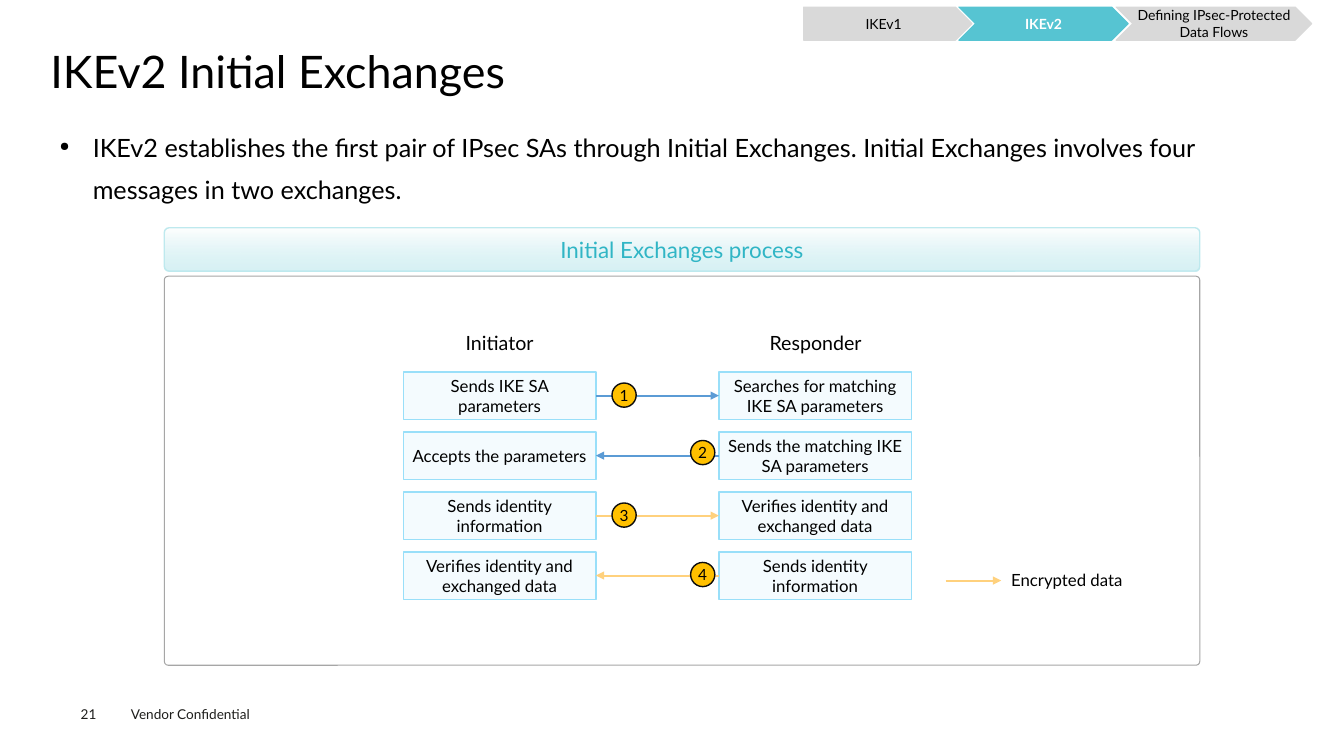
"""Build the slide that explains the IKEv2 initial exchanges."""
from lxml.etree import SubElement
from pptx import Presentation
from pptx.dml.color import RGBColor
from pptx.enum.shapes import MSO_CONNECTOR, MSO_SHAPE
from pptx.enum.text import MSO_ANCHOR, PP_ALIGN
from pptx.oxml.ns import qn
from pptx.util import Inches, Pt

FONT = "Lato"
BLACK = RGBColor(0x00, 0x00, 0x00)
WHITE = RGBColor(0xFF, 0xFF, 0xFF)
FOOTER_INK = RGBColor(0x1D, 0x1D, 0x1B)
TEAL = RGBColor(0x56, 0xC4, 0xD2)
TEAL_TEXT = RGBColor(0x30, 0xB5, 0xC5)
PALE_TEAL = RGBColor(0xBE, 0xE9, 0xEE)
TAB_GREY = RGBColor(0xD9, 0xD9, 0xD9)
FRAME_GREY = RGBColor(0xA6, 0xA6, 0xA6)
STEP_FILL = RGBColor(0xF4, 0xFB, 0xFE)
STEP_LINE = RGBColor(0x99, 0xDF, 0xF9)
BLUE = RGBColor(0x5B, 0x9B, 0xD5)
ORANGE = RGBColor(0xFF, 0xD1, 0x7D)
BADGE_FILL = RGBColor(0xFF, 0xC0, 0x00)
BADGE_LINE = RGBColor(0x0D, 0x0D, 0x0D)

presentation = Presentation()
presentation.slide_width = Inches(13.33)
presentation.slide_height = Inches(7.5)
slide = presentation.slides.add_slide(presentation.slide_layouts[6])


def write(shape, text, size, color=BLACK, insets=(0.1, 0.05), wrap=True,
          align=PP_ALIGN.CENTER, anchor=MSO_ANCHOR.TOP):
    frame = shape.text_frame
    frame.word_wrap = wrap
    frame.vertical_anchor = anchor
    frame.margin_left = frame.margin_right = Inches(insets[0])
    frame.margin_top = frame.margin_bottom = Inches(insets[1])
    paragraph = frame.paragraphs[0]
    paragraph.alignment = align
    run = paragraph.add_run()
    run.text = text
    run.font.name = FONT
    run.font.size = Pt(size)
    run.font.color.rgb = color
    return paragraph


def add_block(kind, box, fill, line, line_width):
    shape = slide.shapes.add_shape(kind, *map(Inches, box))
    shape.shadow.inherit = False
    if fill is None:
        shape.fill.background()
    else:
        shape.fill.solid()
        shape.fill.fore_color.rgb = fill
    shape.line.color.rgb = line
    shape.line.width = Pt(line_width)
    return shape


labels = [
    ((1.2, 6.95, 1.6, 0.27), "Vendor Confidential", 9.7, FOOTER_INK, (0.1, 0.05), True, PP_ALIGN.LEFT),
    ((0.8, 7, 0.55, 0.16), "21", 9.7, FOOTER_INK, (0, 0), True, PP_ALIGN.LEFT),
    ((4.5, 3.23, 0.91, 0.34), "Initiator", 14, BLACK, (0.1, 0.05), False, PP_ALIGN.CENTER),
    ((7.52, 3.23, 1.14, 0.34), "Responder", 14, BLACK, (0.1, 0.05), False, PP_ALIGN.CENTER),
    ((9.93, 5.6, 1.36, 0.3), "Encrypted data", 12, BLACK, (0.1, 0.05), False, PP_ALIGN.LEFT),
]
for box, *style in labels:
    write(slide.shapes.add_textbox(*map(Inches, box)), *style)

title = slide.shapes.add_textbox(Inches(0.5), Inches(0.49), Inches(12.35), Inches(0.54))
write(title, "IKEv2 Initial Exchanges", 32, insets=(0, 0), align=PP_ALIGN.LEFT).line_spacing = 0.9

body = slide.shapes.add_textbox(Inches(0.5), Inches(1.15), Inches(12.35), Inches(1))
body_paragraph = write(
    body,
    "IKEv2 establishes the first pair of IPsec SAs through Initial Exchanges. "
    "Initial Exchanges involves four messages in two exchanges.",
    18, insets=(0.09, 0.04), align=PP_ALIGN.LEFT)
properties = body_paragraph._p.get_or_add_pPr()
properties.set("marL", str(Inches(0.33)))
properties.set("indent", str(-Inches(0.33)))
SubElement(properties, qn("a:buSzPct")).set("val", "50000")
SubElement(properties, qn("a:buChar")).set("char", "●")
body_paragraph.line_spacing = 1.4

header = add_block(MSO_SHAPE.ROUNDED_RECTANGLE, (1.63, 2.26, 10.27, 0.43), WHITE, PALE_TEAL, 1)
header.adjustments[0] = 0.11
header.fill.gradient()
header.fill.gradient_angle = 270
for stop, color, position in zip(header.fill.gradient_stops, (WHITE, PALE_TEAL), (0, 1)):
    stop.color.rgb = color
    stop.position = position
last_color = header._element.spPr.findall(".//" + qn("a:gs"))[-1][0]
SubElement(last_color, qn("a:alpha")).set("val", "60000")
write(header, "Initial Exchanges process", 16, TEAL_TEXT, (0, 0), anchor=MSO_ANCHOR.MIDDLE)

frame_box = add_block(MSO_SHAPE.ROUNDED_RECTANGLE, (1.63, 2.74, 10.27, 3.86), None, FRAME_GREY, 0.75)
frame_box.adjustments[0] = 0.01

exchanges = [
    ("Sends IKE SA parameters", "Searches for matching IKE SA parameters", BLUE, 3.8),
    ("Accepts the parameters", "Sends the matching IKE SA parameters", BLUE, 4.37),
    ("Sends identity information", "Verifies identity and exchanged data", ORANGE, 4.99),
    ("Verifies identity and exchanged data", "Sends identity information", ORANGE, 5.58),
]
INITIATOR_LEFT, RESPONDER_LEFT = 4, 7.13
STEP_WIDTH, STEP_HEIGHT = 1.91, 0.47
INITIATOR_EDGE = INITIATOR_LEFT + STEP_WIDTH
arrows = [(9.38, 9.93, 5.76, ORANGE)]
badges = []
for row, (initiator, responder, color, badge_top) in enumerate(exchanges):
    top = 3.69 + row * 1.19 / 2
    for left, text in ((INITIATOR_LEFT, initiator), (RESPONDER_LEFT, responder)):
        step = add_block(MSO_SHAPE.RECTANGLE, (left, top, STEP_WIDTH, STEP_HEIGHT), STEP_FILL, STEP_LINE, 1)
        write(step, text, 12, insets=(0.04, 0.05), anchor=MSO_ANCHOR.MIDDLE)
    to_responder = row % 2 == 0
    ends = (INITIATOR_EDGE, RESPONDER_LEFT) if to_responder else (RESPONDER_LEFT, INITIATOR_EDGE)
    arrows.append((*ends, top + STEP_HEIGHT / 2, color))
    badges.append((6.07 if to_responder else 6.85, badge_top))

for start, end, height, color in arrows:
    arrow = slide.shapes.add_connector(
        MSO_CONNECTOR.STRAIGHT, Inches(start), Inches(height), Inches(end), Inches(height))
    arrow.line.color.rgb = color
    arrow.line.width = Pt(1.5)
    SubElement(arrow.line._get_or_add_ln(), qn("a:tailEnd")).set("type", "triangle")
    SubElement(arrow._element.spPr, qn("a:effectLst"))

for number, (left, top) in enumerate(badges, start=1):
    badge = add_block(MSO_SHAPE.OVAL, (left, top, 0.24, 0.24), BADGE_FILL, BADGE_LINE, 1)
    write(badge, str(number), 11, insets=(0.04, 0.05), anchor=MSO_ANCHOR.MIDDLE)

tabs = [
    (MSO_SHAPE.PENTAGON, 7.97, 1.67, "IKEv1", TAB_GREY, BLACK, 0),
    (MSO_SHAPE.CHEVRON, 9.51, 1.68, "IKEv2", TEAL, WHITE, 0),
    (MSO_SHAPE.CHEVRON, 11.07, 1.94, "Defining IPsec-Protected Data Flows", TAB_GREY, BLACK, 0.04),
]
for kind, left, width, text, fill, ink, inset in tabs:
    tab = add_block(kind, (left, 0.07, width, 0.33), fill, fill, 0.75)
    tab_paragraph = write(tab, text, 10, ink, (inset, 0), anchor=MSO_ANCHOR.MIDDLE)
    tab_paragraph.runs[0].font.bold = fill == TEAL

presentation.save("out.pptx")
